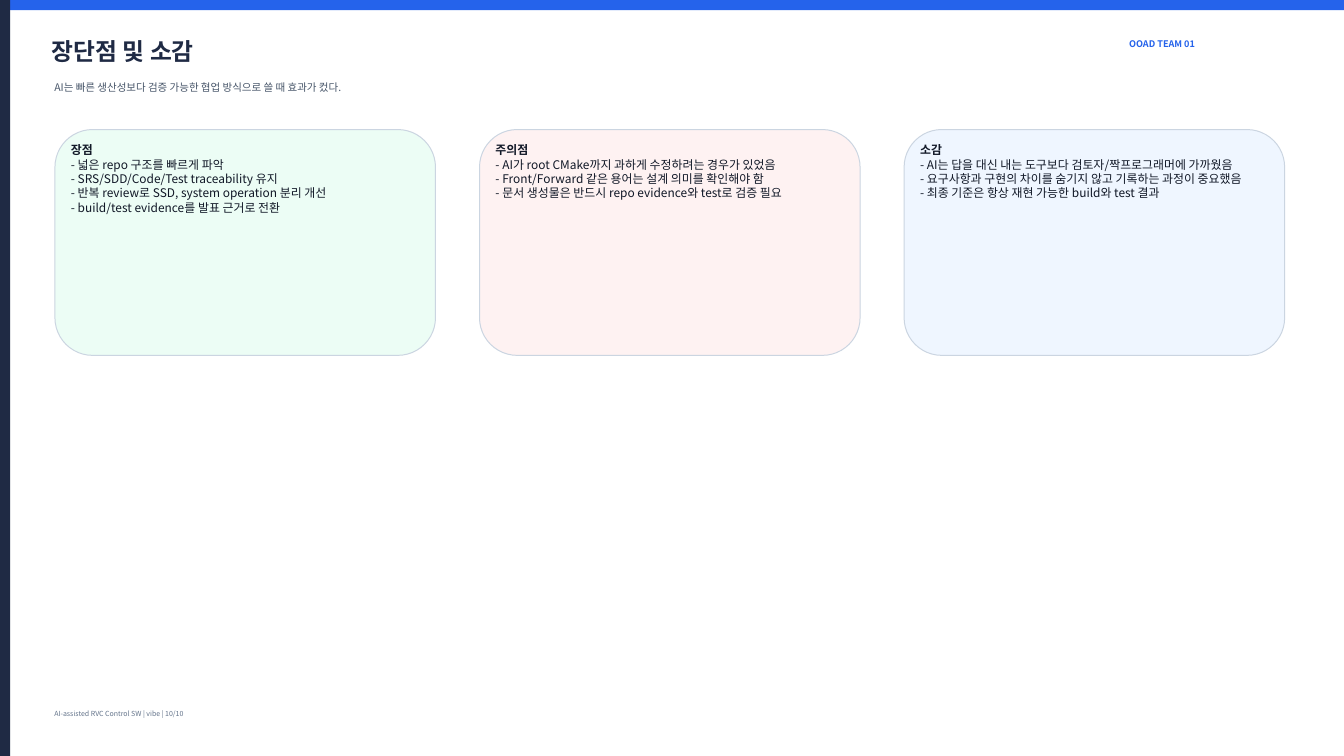
import pptx
import pptx.dml.color
import pptx.enum.shapes
import pptx.enum.text
import pptx.oxml
import pptx.oxml.ns
import pptx.util
from pptx.util import Cm

FONT = "Noto Sans CJK KR"
SLIDE_WIDTH, SLIDE_HEIGHT = Cm(67.74), Cm(38.1)
NAVY, BLUE, INK, BORDER = "1F2A44", "2563EB", "111827", "CBD5E1"
CARDS = [
    ("ECFDF5", "장점", [
        "넓은 repo 구조를 빠르게 파악",
        "SRS/SDD/Code/Test traceability 유지",
        "반복 review로 SSD, system operation 분리 개선",
        "build/test evidence를 발표 근거로 전환",
    ]),
    ("FEF2F2", "주의점", [
        "AI가 root CMake까지 과하게 수정하려는 경우가 있었음",
        "Front/Forward 같은 용어는 설계 의미를 확인해야 함",
        "문서 생성물은 반드시 repo evidence와 test로 검증 필요",
    ]),
    ("EFF6FF", "소감", [
        "AI는 답을 대신 내는 도구보다 검토자/짝프로그래머에 가까웠음",
        "요구사항과 구현의 차이를 숨기지 않고 기록하는 과정이 중요했음",
        "최종 기준은 항상 재현 가능한 build와 test 결과",
    ]),
]


def color(value):
    return pptx.dml.color.RGBColor.from_string(value)


def write_text(shape, lines, size, text_color, bold_lines=0):
    frame = shape.text_frame
    frame.text = "\n".join(lines)
    frame.word_wrap = True
    frame.auto_size = pptx.enum.text.MSO_AUTO_SIZE.NONE
    frame.vertical_anchor = pptx.enum.text.MSO_ANCHOR.TOP
    for index, paragraph in enumerate(frame.paragraphs):
        paragraph.alignment = pptx.enum.text.PP_ALIGN.LEFT
        for run in paragraph.runs:
            run.font.name = FONT
            run.font.size = pptx.util.Pt(size)
            run.font.bold = index < bold_lines
            run.font.color.rgb = color(text_color)
            east_asian = pptx.oxml.parse_xml(
                f'<a:ea {pptx.oxml.ns.nsdecls("a")} typeface="{FONT}"/>')
            run.font._element.find(pptx.oxml.ns.qn("a:latin")).addnext(east_asian)


def add_box(slide, kind, box, fill, line=None):
    shape = slide.shapes.add_shape(kind, *box)
    shape.shadow.inherit = False
    shape.fill.solid()
    shape.fill.fore_color.rgb = color(fill)
    if line:
        shape.line.color.rgb = color(line)
        shape.line.width = pptx.util.Pt(1.42)
    else:
        shape.line.fill.background()
    return shape


def add_label(slide, box, text, size, text_color, bold=False):
    write_text(slide.shapes.add_textbox(*box), [text], size, text_color, int(bold))


def add_frame_bars(slide, box):
    left, top, width, height = box
    rectangle = pptx.enum.shapes.MSO_SHAPE.RECTANGLE
    thickness = Cm(0.51)
    add_box(slide, rectangle, (left, top, width, thickness), BLUE)
    add_box(slide, rectangle, (left, top, thickness, height), NAVY)


def add_header(slide, box):
    left, top, width, height = box
    title = slide.shapes.title
    title.left, title.top = left, top
    title.width, title.height = Cm(50), Cm(2.36)
    write_text(title, ["장단점 및 소감"], 34, NAVY, 1)
    add_label(slide, (left + Cm(0.13), top + Cm(2.21), Cm(52.78), height - Cm(2.21)),
              "AI는 빠른 생산성보다 검증 가능한 협업 방식으로 쓸 때 효과가 컸다.", 15, "475569")
    team_width = Cm(7.5)
    add_label(slide, (left + width - team_width, top + Cm(0.1), team_width, Cm(1.17)),
              "OOAD TEAM 01", 13, BLUE, True)


def add_cards(slide, box):
    left, top, width, height = box
    card_width = Cm(19.18)
    step = (width - card_width) // (len(CARDS) - 1)
    for index, (fill, heading, points) in enumerate(CARDS):
        card = add_box(slide, pptx.enum.shapes.MSO_SHAPE.ROUNDED_RECTANGLE,
                       (left + index * step, top, card_width, height), fill, BORDER)
        write_text(card, [heading] + [f"- {point}" for point in points], 17, INK, 1)


def add_footer(slide, box):
    add_label(slide, box, "AI-assisted RVC Control SW | vibe | 10/10", 10, "64748B")


def main():
    presentation = pptx.Presentation()
    presentation.slide_width, presentation.slide_height = SLIDE_WIDTH, SLIDE_HEIGHT
    slide = presentation.slides.add_slide(presentation.slide_layouts[5])
    slide.background.fill.solid()
    slide.background.fill.fore_color.rgb = color("FFFFFF")
    add_frame_bars(slide, (0, 0, SLIDE_WIDTH, SLIDE_HEIGHT))
    add_header(slide, (Cm(2.36), Cm(1.73), Cm(61.8), Cm(3.66)))
    add_cards(slide, (Cm(2.77), Cm(6.53), Cm(61.98), Cm(11.38)))
    add_footer(slide, (Cm(2.49), Cm(35.61), Cm(33.32), Cm(0.84)))
    presentation.save("out.pptx")


if __name__ == "__main__":
    main()
